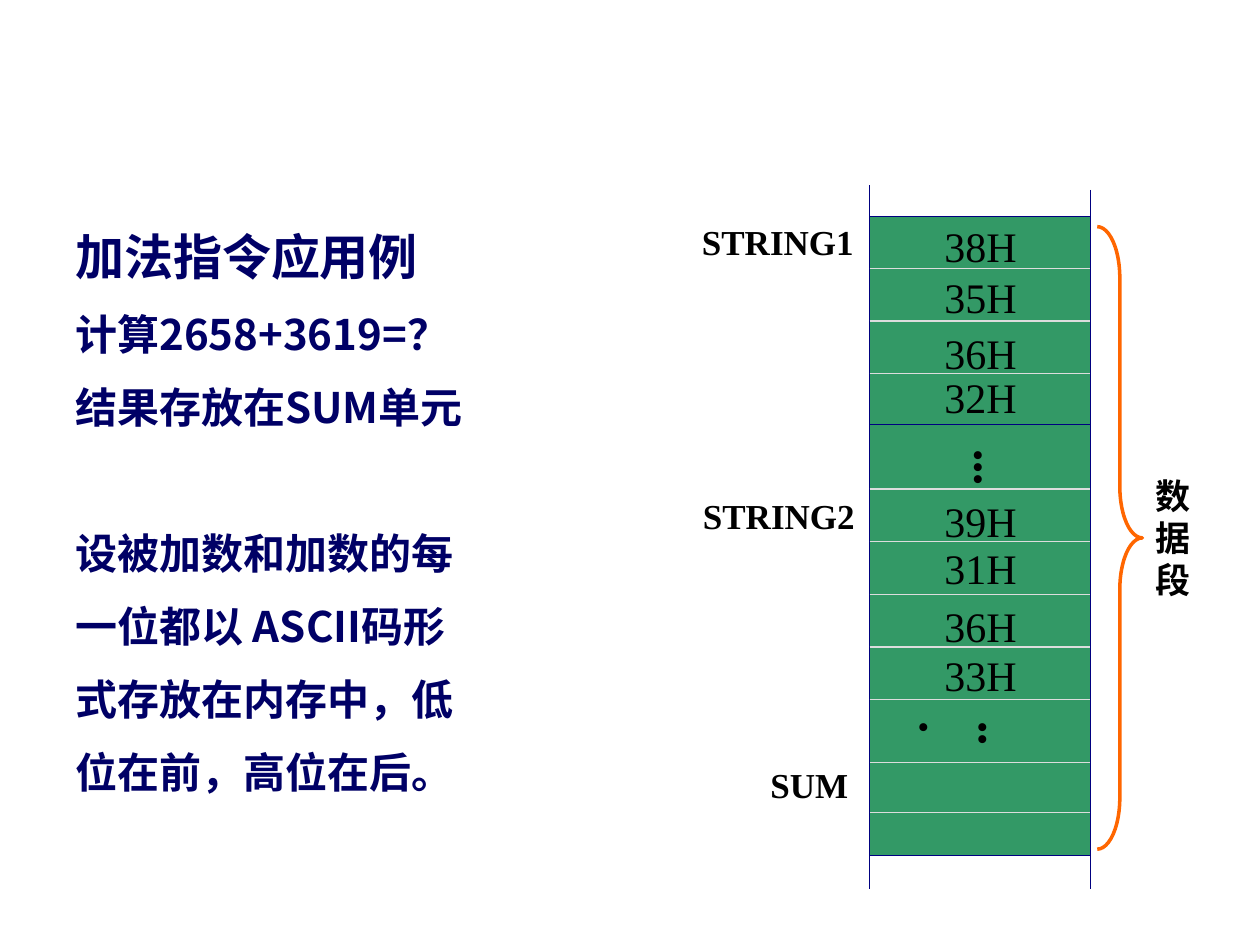
from dataclasses import dataclass

from lxml import etree
from pptx import Presentation
from pptx import util as u
from pptx.dml.color import RGBColor
from pptx.enum import shapes, text
from pptx.oxml import ns


@dataclass(frozen=True)
class Theme:
    navy: str = "000066"
    border: str = "000080"
    cell: str = "339966"
    divider: str = "DDDDDD"
    brace: str = "FF6600"
    black: str = "000000"
    sans: str = "Noto Sans CJK SC"
    serif: str = "Times New Roman"
    heading: int = 28
    body: int = 24
    label: int = 20
    thin: float = 0.75
    thick: float = 2


THEME = Theme()


def set_font(paragraph, size, color, name, bold=False):
    font = paragraph.font
    font.size, font.bold, font.name = u.Pt(size), bold, name
    font.color.rgb = RGBColor.from_string(color)
    properties = paragraph._p.pPr.find(ns.qn("a:defRPr"))
    etree.SubElement(properties, ns.qn("a:ea")).set("typeface", THEME.sans)


def add_frame(slide, left, top, width, height):
    box = slide.shapes.add_textbox(u.Cm(left), u.Cm(top), u.Cm(width), u.Cm(height))
    box.text_frame.word_wrap = True
    return box.text_frame


def add_label(slide, content, left, top, width, height, size, bold=False):
    frame = add_frame(slide, left, top, width, height)
    frame.auto_size = text.MSO_AUTO_SIZE.SHAPE_TO_FIT_TEXT
    frame.text = content
    set_font(frame.paragraphs[0], size, THEME.black, THEME.serif, bold)
    return frame


def add_line(slide, x1, y1, x2, y2, color):
    line = slide.shapes.add_connector(
        shapes.MSO_CONNECTOR.STRAIGHT, u.Cm(x1), u.Cm(y1), u.Cm(x2), u.Cm(y2))
    line.line.color.rgb = RGBColor.from_string(color)
    line.line.width = u.Pt(THEME.thin)
    etree.SubElement(line._element.spPr, ns.qn("a:effectLst"))


def add_block(slide, left, top, width, height):
    block = slide.shapes.add_shape(
        shapes.MSO_SHAPE.RECTANGLE, u.Cm(left), u.Cm(top), u.Cm(width), u.Cm(height))
    block.shadow.inherit = False
    block.fill.solid()
    block.fill.fore_color.rgb = RGBColor.from_string(THEME.cell)
    block.line.color.rgb = RGBColor.from_string(THEME.border)
    block.line.width = u.Pt(THEME.thin)


def add_problem(slide, left, top, width, height):
    frame = add_frame(slide, left, top, width, height)
    lines = ["加法指令应用例", "计算2658+3619=？", "结果存放在SUM单元",
             "设被加数和加数的每", "一位都以 ASCII码形", "式存放在内存中，低", "位在前，高位在后。"]
    assumption_start = 3
    for index, content in enumerate(lines):
        paragraph = frame.paragraphs[0] if index == 0 else frame.add_paragraph()
        paragraph.text = content
        paragraph.line_spacing = 1.2
        if index > 0:
            paragraph.space_before = u.Pt(49 if index == assumption_start else 7.2)
        size = THEME.heading if index == 0 else THEME.body
        set_font(paragraph, size, THEME.navy, THEME.sans, bold=True)


def add_memory(slide, left, top, width, height):
    """Memory column: two filled blocks, cell dividers, open rails and contents."""
    right, bottom = left + width, top + height
    add_block(slide, left, top + 0.64, width, 4.19)
    add_block(slide, left, top + 4.83, width, 8.69)

    pitch = 1.06
    dividers = [1.68 + pitch * row for row in range(3)]
    dividers += [6.13 + pitch * row for row in range(5)] + [11.64, 12.65]
    for offset in dividers:
        add_line(slide, left, top + offset, right, top + offset, THEME.divider)

    for x, start in ((left, top), (right, top + 0.1)):
        add_line(slide, x, start, x, start + 1.38, THEME.border)
        add_line(slide, x, top + 11.6, x, bottom, THEME.border)

    values = [("38H", 0.59), ("35H", 1.61), ("36H", 2.75), ("32H", 3.64),
              ("39H", 6.13), ("31H", 7.09), ("36H", 8.26), ("33H", 9.23)]
    for content, offset in values:
        add_label(slide, content, left + 1.26, top + offset, 2.74, 1.27, THEME.body)

    for x, y, w, h, wrap in ((0.18, 5.08, 3.05, 0.99, False),
                             (0.42, 10.57, 2.9, 1.07, True)):
        frame = add_label(slide, "...", left + x, top + y, w, h, THEME.heading, True)
        frame.word_wrap = wrap
        frame._txBody.bodyPr.set("vert", "eaVert")

    for content, x, y, w in (("STRING1", 3.63, 0.59, 4.01),
                             ("STRING2", 3.61, 6.12, 3.81),
                             ("SUM", 2.25, 11.54, 2.18)):
        add_label(slide, content, left - x, top + y, w, 1.09, THEME.label, True)


def add_segment_brace(slide, left, top, width, height):
    brace_width = 0.91
    brace = slide.shapes.add_shape(
        shapes.MSO_SHAPE.RIGHT_BRACE, u.Cm(left), u.Cm(top), u.Cm(brace_width), u.Cm(height))
    brace.shadow.inherit = False
    brace.adjustments[0] = 1.14
    brace.adjustments[1] = 0.5
    brace.fill.background()
    brace.line.color.rgb = RGBColor.from_string(THEME.brace)
    brace.line.width = u.Pt(THEME.thick)
    add_label(slide, "数据段", left + 0.92, top + 4.86, width - 0.94, 2.79,
              THEME.label, True)


def main():
    presentation = Presentation()
    presentation.slide_width, presentation.slide_height = u.Cm(25.4), u.Cm(19.05)
    slide = presentation.slides.add_slide(presentation.slide_layouts[6])
    add_problem(slide, 1.27, 4.21, 23.29, 13.34)
    add_memory(slide, 17.53, 3.73, 4.45, 14.2)
    add_segment_brace(slide, 22.12, 4.57, 2.21, 12.55)
    presentation.save("out.pptx")


if __name__ == "__main__":
    main()
